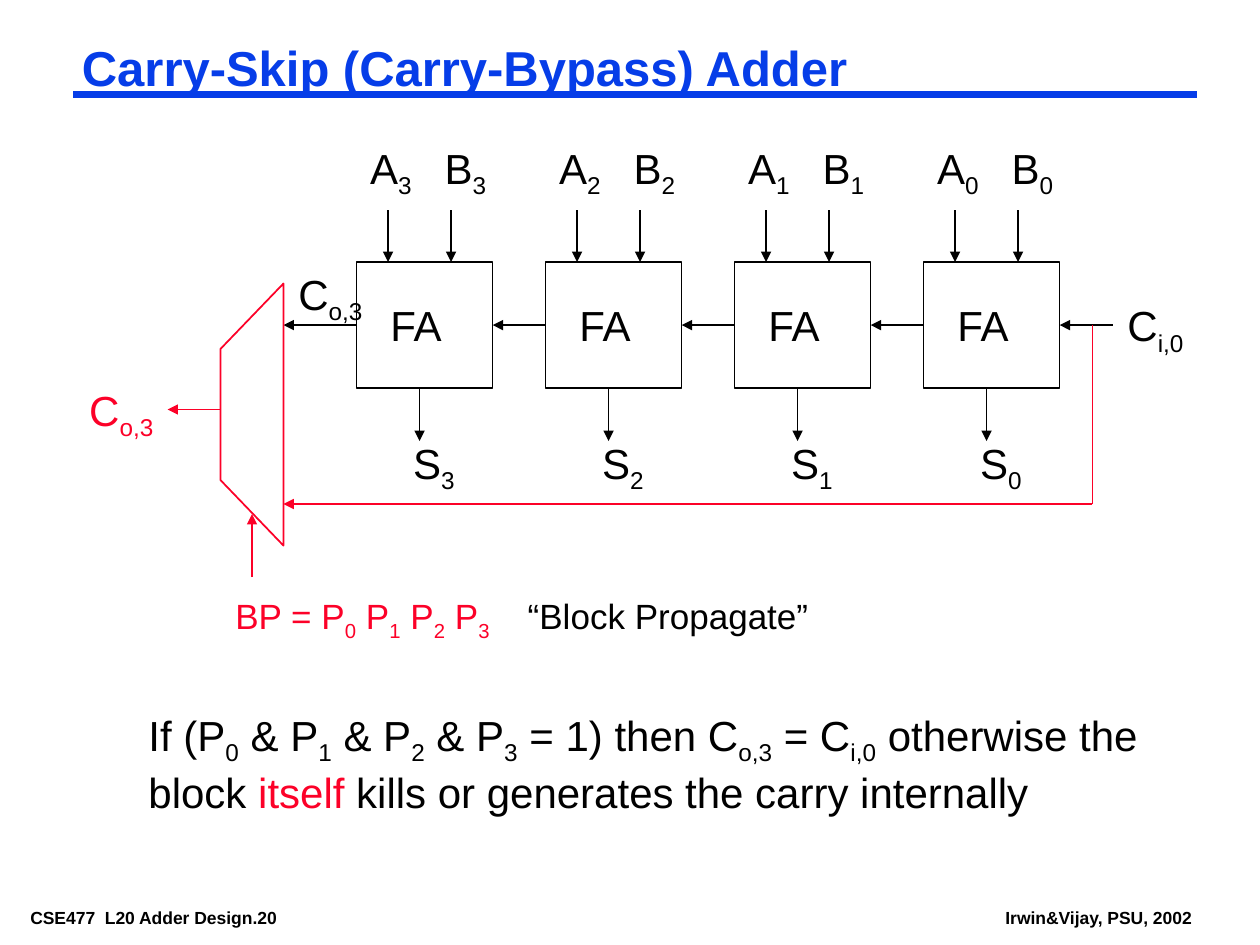
from pptx import Presentation
from pptx.dml.color import RGBColor
from pptx.enum.shapes import MSO_CONNECTOR, MSO_SHAPE
from pptx.enum.text import MSO_AUTO_SIZE
from pptx.oxml.ns import qn
from pptx.util import Inches, Pt
from lxml.etree import SubElement

BLACK = RGBColor(0x00, 0x00, 0x00)
RED = RGBColor(0xFC, 0x01, 0x28)
BLUE = RGBColor(0x06, 0x3D, 0xE8)

# Content: text between bars is subscript
TITLE = "Carry-Skip (Carry-Bypass) Adder"
FOOTERS = [  # text, left, width
    ("CSE477  L20 Adder Design.20", 0.17, 2.61),
    ("Irwin&Vijay, PSU, 2002", 7.91, 1.63),
]
RULE = [
    ("If (P|0| & P|1| & P|2| & P|3| = 1) then C|o,3| = C|i,0| otherwise the block ", BLACK),
    ("itself", RED),
    (" kills or generates the carry internally", BLACK),
]
LABELS = [  # text, colour, size, left, top, width, height
    ("C|i,0|", BLACK, 24, 8.85, 2.33, 0.7, 0.56),
    ("C|o,3|", BLACK, 24, 2.27, 2.08, 0.73, 0.56),
    ("C|o,3|", RED, 24, 0.61, 3, 0.73, 0.56),
    ("BP = P|0| P|1| P|2| P|3|", RED, 20, 1.77, 4.67, 2.3, 0.48),
    ("“Block Propagate”", BLACK, 20, 4.09, 4.67, 2.5, 0.48),
]
MUX = [(2.25, 2.25), (2.25, 4.33), (1.75, 3.81), (1.75, 2.77)]
BYPASS = [  # start, end, has arrowhead
    ((1.75, 3.25), (1.33, 3.25), True),
    ((8.67, 4), (2.25, 4), True),
    ((8.67, 2.58), (8.67, 4), False),
    ((2, 4.58), (2, 4.08), True),
]

# Adder row geometry
BITS = 4
FIRST_LEFT, PITCH = 7.33, 1.5
TOP, WIDTH, HEIGHT = 2.08, 1.08, 1
MIDDLE, BOTTOM = TOP + HEIGHT / 2, TOP + HEIGHT
SIGNALS = [("A", 0.01, 1.08), ("B", 0.6, 1.08), ("S", 0.35, 3.42)]
STUBS = [(0.25, 1.67, TOP), (0.75, 1.67, TOP), (0.5, BOTTOM, 3.5)]

deck = Presentation()
deck.slide_width, deck.slide_height = Inches(10), Inches(7.5)
page = deck.slides.add_slide(deck.slide_layouts[6])


def add_text(pieces, size, left, top, width, height,
             wrap=False, bold=False, inset=(0.1, 0.05)):
    box = page.shapes.add_textbox(Inches(left), Inches(top), Inches(width), Inches(height))
    frame = box.text_frame
    frame.word_wrap = wrap
    frame.auto_size = MSO_AUTO_SIZE.SHAPE_TO_FIT_TEXT
    frame.margin_left = frame.margin_right = Inches(inset[0])
    frame.margin_top = frame.margin_bottom = Inches(inset[1])
    para = frame.paragraphs[0]
    for markup, colour in pieces:
        for index, text in enumerate(markup.split("|")):
            if not text:
                continue
            span = para.add_run()
            span.text = text
            span.font.name, span.font.size, span.font.bold = "Arial", Pt(size), bold
            span.font.color.rgb = colour
            if index % 2:
                span.font._element.set("baseline", "-25000")
    return para


def add_line(start, end, colour=BLACK, weight=1, arrow=True):
    line = page.shapes.add_connector(
        MSO_CONNECTOR.STRAIGHT, *(Inches(value) for value in (*start, *end)))
    line.line.color.rgb = colour
    line.line.width = Pt(weight)
    if arrow:
        SubElement(line.line._get_or_add_ln(), qn("a:tailEnd"), type="triangle")
    SubElement(line._element.spPr, qn("a:effectLst"))
    return line


def outline(shape, colour):
    shape.shadow.inherit = False
    shape.fill.background()
    shape.line.color.rgb = colour
    shape.line.width = Pt(1)


# Footers, title and its rule
for text, left, width in FOOTERS:
    add_text([(text, BLACK)], 10, left, 7.17, width, 0.22, bold=True, inset=(0.07, 0.03))
add_line((0.58, 0.75), (9.5, 0.75), BLUE, 4.5, arrow=False)
title = add_text([(TITLE, BLUE)], 28, 0.58, 0.33, 8.92, 0.46,
                 wrap=True, bold=True, inset=(0.07, 0.03))
title.line_spacing = 0.87

add_text(RULE, 24, 1.08, 5.58, 8.08, 0.96, wrap=True)

# Full adders with their signals, from bit 0 on the right
adders = []
for bit in range(BITS):
    left = FIRST_LEFT - bit * PITCH
    adder = page.shapes.add_shape(
        MSO_SHAPE.RECTANGLE, Inches(left), Inches(TOP), Inches(WIDTH), Inches(HEIGHT))
    outline(adder, BLACK)
    adders.append(adder)
    for name, offset, top in SIGNALS:
        add_text([(f"{name}|{bit}|", BLACK)], 24, left + offset, top, 0.53, 0.56)
    for offset, start, end in STUBS:
        add_line((left + offset, start), (left + offset, end))
    add_text([("FA", BLACK)], 24, left + 0.17, 2.33, 0.65, 0.5, wrap=True)

# Carry chain: input, between adders, into the multiplexer
for source, target in zip([None, *adders], [*adders, None]):
    carry = add_line((8.83, MIDDLE), (2.25, MIDDLE))
    if source:
        carry.begin_connect(source, 1)
    if target:
        carry.end_connect(target, 3)

# Bypass multiplexer and wiring
corners = [(Inches(x), Inches(y)) for x, y in MUX]
builder = page.shapes.build_freeform(*corners[0])
builder.add_line_segments(corners[1:], close=True)
outline(builder.convert_to_shape(), RED)
for start, end, arrow in BYPASS:
    add_line(start, end, RED, arrow=arrow)

for text, colour, size, *place in LABELS:
    add_text([(text, colour)], size, *place)

deck.save("out.pptx")
